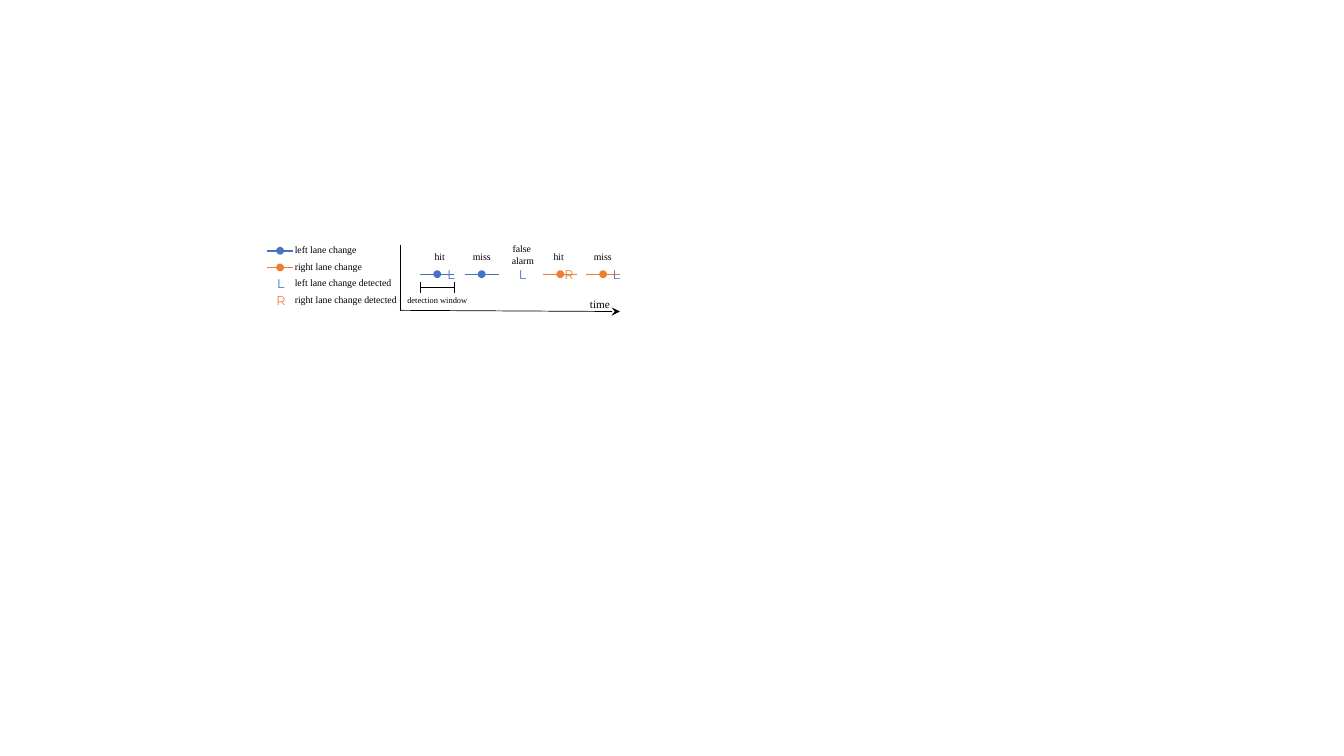
from dataclasses import dataclass

from lxml.etree import SubElement
from pptx import Presentation
from pptx.dml.color import RGBColor
from pptx.enum.shapes import MSO_CONNECTOR, MSO_SHAPE
from pptx.enum.text import MSO_AUTO_SIZE, PP_ALIGN
from pptx.oxml import parse_xml
from pptx.oxml.ns import nsdecls, qn
from pptx.util import Cm, Pt


@dataclass(frozen=True)
class Theme:
    left: RGBColor = RGBColor(0x44, 0x72, 0xC4)
    right: RGBColor = RGBColor(0xED, 0x7D, 0x31)
    ink: RGBColor = RGBColor(0, 0, 0)
    letter_outline: str = "FFFFFF"
    label_font: str = "Times New Roman"
    letter_font: str = "Montserrat"
    window_size: float = 6
    label_size: float = 7
    time_size: float = 8
    letter_size: float = 9
    thin: float = 0.5
    thick: float = 1


THEME = Theme()
SIDES = {"L": THEME.left, "R": THEME.right}
DOT = 0.16
LEGEND_TOP, LEGEND_PITCH = 6.02, 0.42
LEGEND_CENTER = 7.06
EVENT_Y = 6.91
EVENT_LABEL_WIDTH = 1.1
WINDOW_LENGTH = 0.86

LEGEND = [
    ("left lane change", "L", True),
    ("right lane change", "R", True),
    ("left lane change detected", "L", False),
    ("right lane change detected", "R", False),
]

EVENTS = [
    ("hit", 11.08, 6.2, "L", 11.02, "L", 11.37),
    ("miss", 12.14, 6.2, "L", 12.14, None, None),
    ("false \nalarm", 13.18, 5.99, None, None, "L", 13.17),
    ("hit", 14.08, 6.2, "R", 14.12, "R", 14.34),
    ("miss", 15.19, 6.2, "R", 15.2, "L", 15.53),
]


def add_line(shapes, start, end, color=THEME.ink, weight=THEME.thin, arrow=False):
    line = shapes.add_connector(
        MSO_CONNECTOR.STRAIGHT, *(Cm(value) for value in (*start, *end))
    )
    line.line.color.rgb = color
    line.line.width = Pt(weight)
    properties = line._element.spPr
    if arrow:
        SubElement(properties.find(qn("a:ln")), qn("a:tailEnd"), type="stealth")
    SubElement(properties, qn("a:effectLst"))


def add_lane_change(slide, center, y, length, color):
    shapes = slide.shapes.add_group_shape().shapes
    add_line(shapes, (center - length / 2, y), (center + length / 2, y), color, THEME.thick)
    dot = shapes.add_shape(
        MSO_SHAPE.OVAL, Cm(center - DOT / 2), Cm(y - DOT / 2), Cm(DOT), Cm(DOT)
    )
    dot.shadow.inherit = False
    dot.fill.solid()
    dot.fill.fore_color.rgb = color
    dot.line.color.rgb = color
    dot.line.width = Pt(THEME.thick)


def add_label(slide, text, left, top, width, height=0.56, size=THEME.label_size,
              font=THEME.label_font, color=THEME.ink, align=PP_ALIGN.CENTER, wrap=False):
    box = slide.shapes.add_textbox(Cm(left), Cm(top), Cm(width), Cm(height))
    frame = box.text_frame
    frame.text = text
    frame.word_wrap = wrap
    frame.auto_size = MSO_AUTO_SIZE.SHAPE_TO_FIT_TEXT
    for paragraph in frame.paragraphs:
        paragraph.alignment = align
        paragraph.font.size = Pt(size)
        paragraph.font.name = font
        paragraph.font.color.rgb = color
    return frame


def add_letter(slide, side, center, top):
    width = 0.28
    frame = add_label(slide, side, center - width / 2, top, width, 0.64,
                      THEME.letter_size, THEME.letter_font, SIDES[side])
    frame.margin_left = frame.margin_right = 0
    outline = parse_xml(
        f'<a:ln {nsdecls("a")} w="{Pt(THEME.thin)}"><a:solidFill>'
        f'<a:srgbClr val="{THEME.letter_outline}"/></a:solidFill></a:ln>'
    )
    frame.paragraphs[0].runs[0]._r.get_or_add_rPr().insert(0, outline)


def add_legend(slide):
    for row, (text, side, is_change) in enumerate(LEGEND):
        top = LEGEND_TOP + row * LEGEND_PITCH
        add_label(slide, text, 7.18, top, 3.3, align=PP_ALIGN.LEFT, wrap=True)
        if is_change:
            add_lane_change(slide, LEGEND_CENTER, top + 0.3, 0.66, SIDES[side])
        else:
            add_letter(slide, side, LEGEND_CENTER + 0.02, top - 0.03)


def add_events(slide):
    for label, label_center, label_top, change, center, detected, letter_center in EVENTS:
        if change:
            add_lane_change(slide, center, EVENT_Y, WINDOW_LENGTH, SIDES[change])
        if detected:
            add_letter(slide, detected, letter_center, EVENT_Y - 0.31)
        height = 0.86 if "\n" in label else 0.56
        add_label(slide, label, label_center - EVENT_LABEL_WIDTH / 2, label_top,
                  EVENT_LABEL_WIDTH, height)


def add_detection_window(slide, left, y):
    shapes = slide.shapes.add_group_shape().shapes
    right = left + WINDOW_LENGTH
    add_line(shapes, (left, y), (right, y))
    for x in (left, right):
        add_line(shapes, (x, y - 0.14), (x, y + 0.14))
    add_label(slide, "detection window", 9.97, 7.3, 2.1, 0.51, THEME.window_size)


def add_axes(slide):
    add_line(slide.shapes, (10.08, 6.17), (10.08, 7.84))
    add_line(slide.shapes, (10.08, 7.82), (15.62, 7.85), arrow=True)
    add_label(slide, "time", 14.57, 7.37, 1.1, 0.61, THEME.time_size)


def main():
    presentation = Presentation()
    presentation.slide_width = Cm(33.87)
    presentation.slide_height = Cm(19.05)
    slide = presentation.slides.add_slide(presentation.slide_layouts[6])
    add_legend(slide)
    add_axes(slide)
    add_events(slide)
    add_detection_window(slide, 10.59, 7.25)
    presentation.save("out.pptx")


main()
